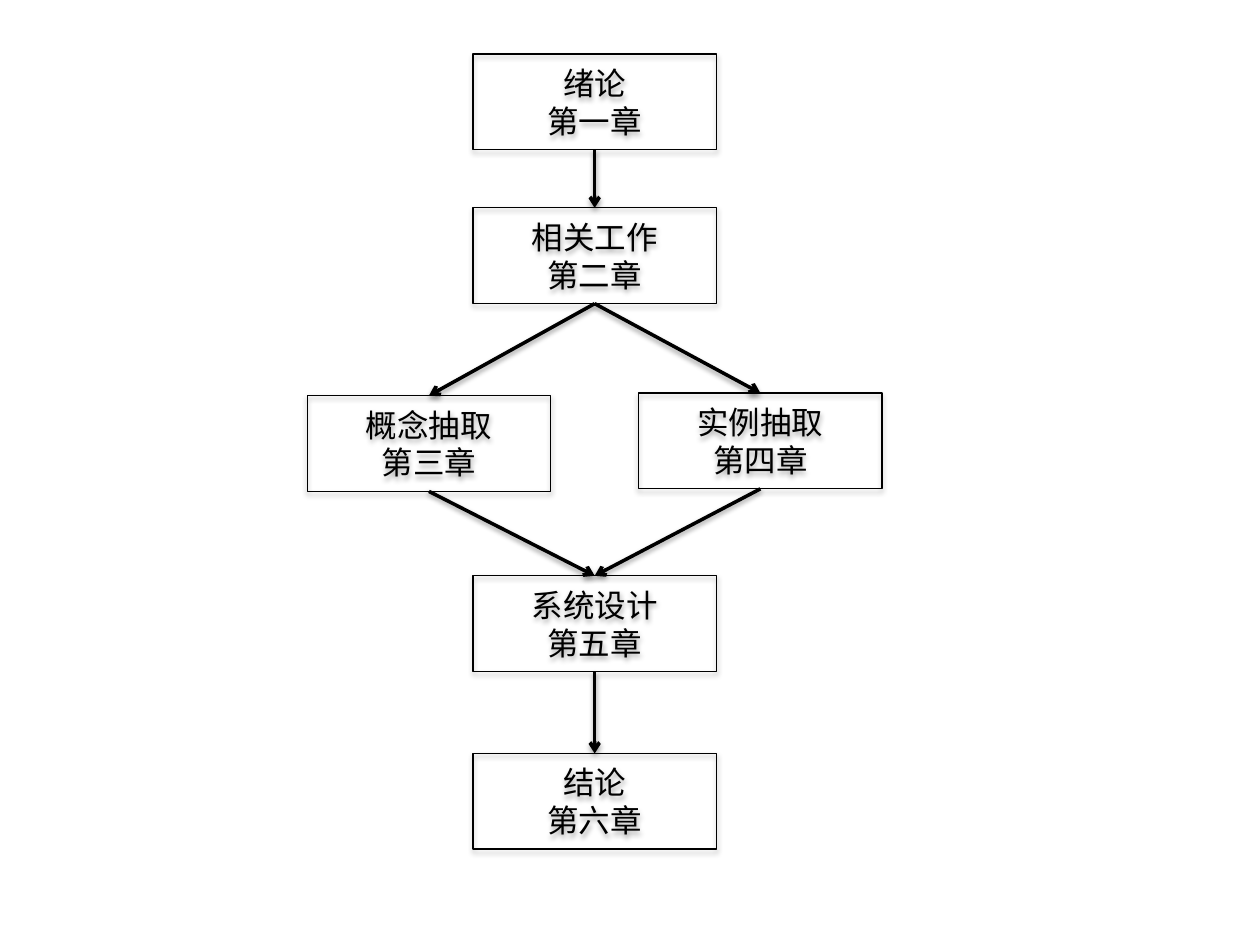
"""Build a flowchart slide of the six thesis chapters."""
from pptx import Presentation
from pptx.dml.color import RGBColor as RGB
from pptx.enum.shapes import MSO_CONNECTOR as CONN, MSO_SHAPE as SHAPE
from pptx.enum.text import MSO_ANCHOR as ANCHOR, PP_ALIGN as ALIGN
from pptx.oxml import parse_xml
from pptx.oxml.ns import nsdecls
from pptx.util import Inches, Pt

CHAPTERS = {
    "第一章": ("绪论", 1, 0.43),
    "第二章": ("相关工作", 1, 1.65),
    "第三章": ("概念抽取", 0, 3.14),
    "第四章": ("实例抽取", 2, 3.12),
    "第五章": ("系统设计", 1, 4.57),
    "第六章": ("结论", 1, 5.98),
}
FLOWS = [
    ("第一章", "第二章"),
    ("第二章", "第三章"),
    ("第二章", "第四章"),
    ("第三章", "第五章"),
    ("第四章", "第五章"),
    ("第五章", "第六章"),
]
COLORS = {"ink": "000000"}
FONT = {"name": "Arial", "size": Pt(18)}
BOX_SHADOW = {"alpha": 35, "blur": 3.1, "dist": 1.8}
ARROW_SHADOW = {"alpha": 38, "blur": 3.1, "dist": 1.6}
SLIDE_W, SLIDE_H = 10, 7.5
LEFT, COL_STEP = 2.44, 1.315
BOX_W, BOX_H = 1.93, 0.76
TOP_SITE, BOTTOM_SITE = 0, 2


def style_outline(s, width, shadow, arrow=False):
    s.line.color.rgb = RGB.from_string(COLORS["ink"])
    s.line.width = Pt(width)
    if arrow:
        s.line._get_or_add_ln().append(
            parse_xml(f'<a:tailEnd {nsdecls("a")} type="arrow"/>'))
    s._element.spPr.append(parse_xml(
        f'<a:effectLst {nsdecls("a")}>'
        f'<a:outerShdw blurRad="{Pt(shadow["blur"])}" dist="{Pt(shadow["dist"])}"'
        ' dir="5400000" rotWithShape="0">'
        f'<a:srgbClr val="{COLORS["ink"]}"><a:alpha val="{shadow["alpha"] * 1000}"/>'
        '</a:srgbClr></a:outerShdw></a:effectLst>'))


def add_box(slide, chapter, title, col, top):
    s = slide.shapes.add_shape(
        SHAPE.RECTANGLE, Inches(LEFT + col * COL_STEP), Inches(top),
        Inches(BOX_W), Inches(BOX_H))
    s.fill.background()
    style_outline(s, 0.75, BOX_SHADOW)
    tf = s.text_frame
    tf.vertical_anchor = ANCHOR.MIDDLE
    tf.text = f"{title}\n{chapter}"
    for p in tf.paragraphs:
        p.alignment = ALIGN.CENTER
        for r in p.runs:
            for key, value in FONT.items():
                setattr(r.font, key, value)
            r.font.color.rgb = RGB.from_string(COLORS["ink"])
    return s


def add_arrow(slide, start, end):
    s = slide.shapes.add_connector(CONN.STRAIGHT, 0, 0, 0, 0)
    s.begin_connect(start, BOTTOM_SITE)
    s.end_connect(end, TOP_SITE)
    style_outline(s, 2, ARROW_SHADOW, arrow=True)


def main():
    prs = Presentation()
    prs.slide_width, prs.slide_height = Inches(SLIDE_W), Inches(SLIDE_H)
    slide = prs.slides.add_slide(prs.slide_layouts[6])
    boxes = {chapter: add_box(slide, chapter, *place)
             for chapter, place in CHAPTERS.items()}
    for start, end in FLOWS:
        add_arrow(slide, boxes[start], boxes[end])
    prs.save("out.pptx")


if __name__ == "__main__":
    main()
